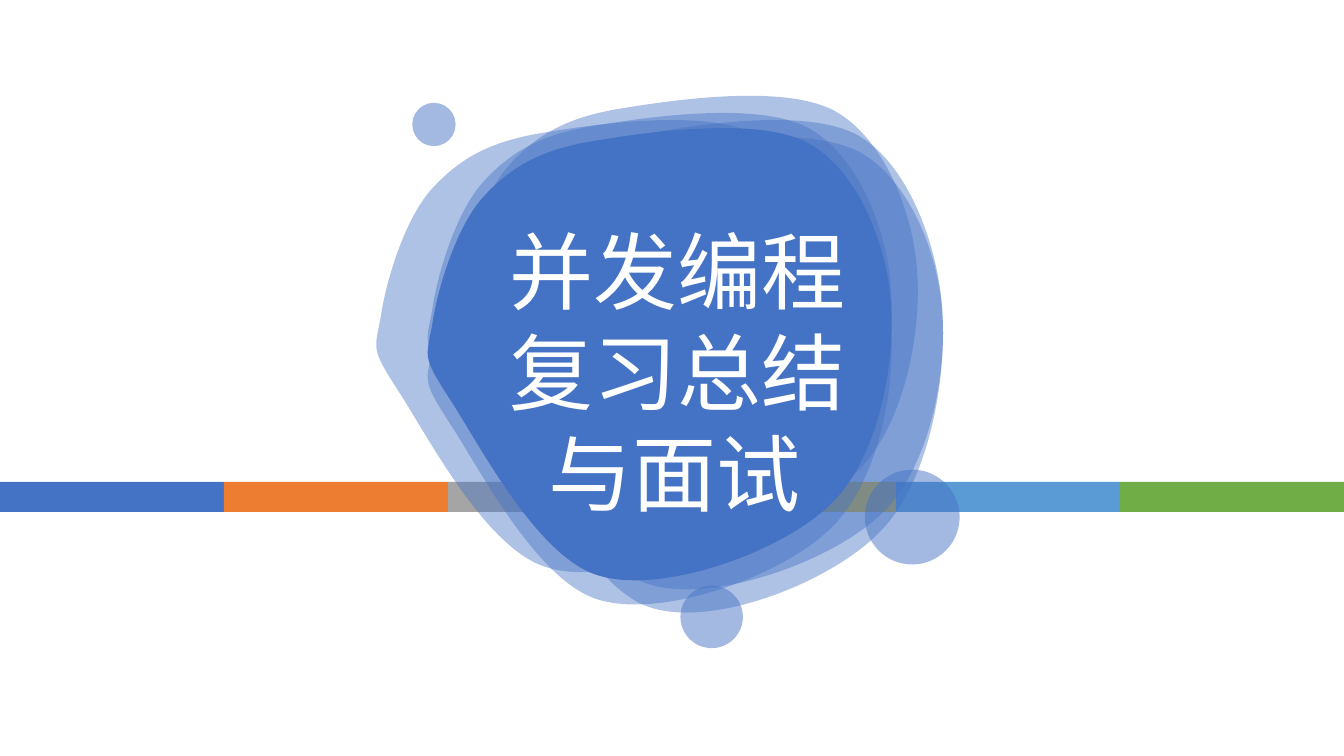
from lxml import etree
from pptx import Presentation
from pptx.dml.color import RGBColor
from pptx.enum.shapes import MSO_SHAPE
from pptx.enum.text import MSO_AUTO_SIZE
from pptx.oxml.ns import qn
from pptx.util import Inches, Pt

RECT, OVAL = MSO_SHAPE.RECTANGLE, MSO_SHAPE.OVAL
FONT = "Noto Sans CJK SC"
COLORS = {
    "blue": "4472C4", "orange": "ED7D31", "gray": "A5A5A5",
    "gold": "FFC000", "sky": "5B9BD5", "green": "70AD47", "white": "FFFFFF",
}

# Blob outline in hundredths of an inch: start, then control, control, end
BLOB_W, BLOB_H = 461, 449
BLOB_START = (21, 267)
BLOB_CURVES = [
    [(49, 309), (108, 426), (170, 444)],
    [(233, 463), (349, 421), (397, 376)],
    [(446, 332), (464, 238), (460, 177)],
    [(457, 117), (427, 42), (378, 15)],
    [(328, -12), (218, 4), (164, 13)],
    [(110, 22), (81, 40), (54, 70)],
    [(28, 100), (10, 160), (5, 194)],
    [(-1, 228), (-6, 225), BLOB_START],
]


def paint(sp, color, alpha=100):
    """Fill without outline or shadow; alpha is the opacity in percent."""
    sp.shadow.inherit = False
    sp.line.fill.background()
    sp.fill.solid()
    sp.fill.fore_color.rgb = RGBColor.from_string(COLORS[color])
    if alpha < 100:
        clr = sp.fill._xPr.find(".//" + qn("a:srgbClr"))
        etree.SubElement(clr, qn("a:alpha"), val=str(alpha * 1000))


def add_path_step(path, tag, points):
    step = etree.SubElement(path, qn(tag))
    for x, y in points:
        etree.SubElement(step, qn("a:pt"), x=str(x), y=str(y))


prs = Presentation()
prs.slide_width, prs.slide_height = Inches(13.333), Inches(7.5)
s = prs.slides.add_slide(prs.slide_layouts[6])

# Colour band
band = s.shapes.add_group_shape()
band_w = 13.333 / 6
for i, color in enumerate(["blue", "orange", "gray", "gold", "sky", "green"]):
    sp = band.shapes.add_shape(RECT, Inches(i * band_w), Inches(4.78),
                               Inches(band_w), Inches(0.3))
    paint(sp, color)

# Layered blobs: left, top, height, opacity
bubble = s.shapes.add_group_shape()
for left, top, height, alpha in [
    (4.24, 1.12, 4.49, 43), (4.24, 1.27, 4.49, 100), (4.75, 1.36, 4.49, 43),
    (3.73, 1.19, 4.49, 43), (4.24, 1.51, 4.49, 43), (4.5, 0.95, 4.49, 43),
    (4.75, 1.19, 4.89, 43),
]:
    builder = bubble.shapes.build_freeform(0, 0, scale=Inches(0.01))
    builder.add_line_segments([(BLOB_W, BLOB_H)])
    sp = builder.convert_to_shape(Inches(left), Inches(top))
    sp.height = Inches(height)
    path = sp._element.find(".//" + qn("a:path"))
    for step in list(path):
        path.remove(step)
    add_path_step(path, "a:moveTo", [BLOB_START])
    for curve in BLOB_CURVES:
        add_path_step(path, "a:cubicBezTo", curve)
    add_path_step(path, "a:close", [])
    paint(sp, "blue", alpha)

# Small dots
for left, top, size in [(8.58, 4.66, 0.94), (6.75, 5.81, 0.62), (4.09, 1.02, 0.43)]:
    sp = bubble.shapes.add_shape(OVAL, Inches(left), Inches(top),
                                 Inches(size), Inches(size))
    paint(sp, "blue", 49)

# Title
title = s.shapes.add_textbox(Inches(4.96), Inches(2.13), Inches(3.57), Inches(3.13))
tf = title.text_frame
tf.word_wrap = False
tf.auto_size = MSO_AUTO_SIZE.SHAPE_TO_FIT_TEXT
for i, lines in enumerate([["并发编程", "复习总结"], ["与面试"]]):
    p = tf.paragraphs[0] if i == 0 else tf.add_paragraph()
    p.line_spacing = Pt(72)
    if i == 1:
        p._p.get_or_add_pPr().set("marL", str(Inches(0.38)))
    for j, line in enumerate(lines):
        if j:
            p.add_line_break()
        r = p.add_run()
        r.text = line
        r.font.size = Pt(60)
        r.font.name = FONT
        r.font.color.rgb = RGBColor.from_string(COLORS["white"])
        etree.SubElement(r._r.get_or_add_rPr(), qn("a:ea"), typeface=FONT)

prs.save("out.pptx")
